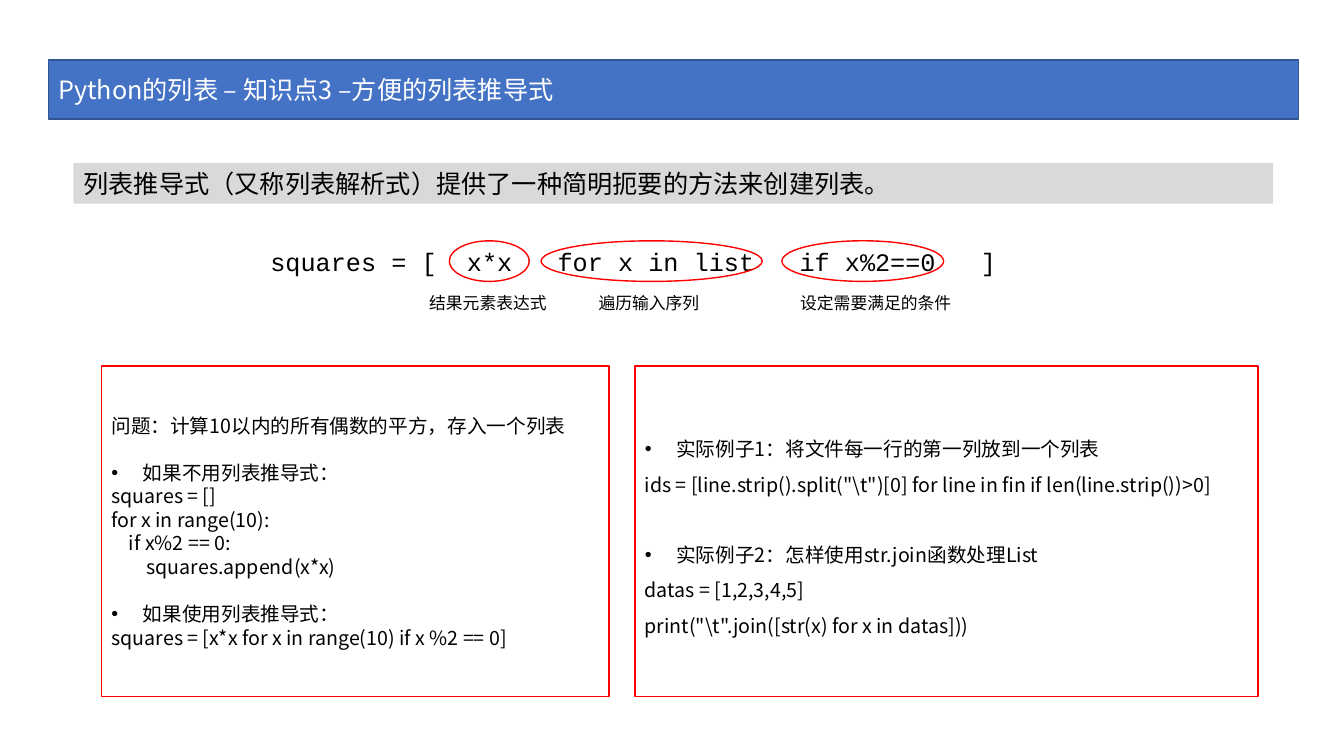
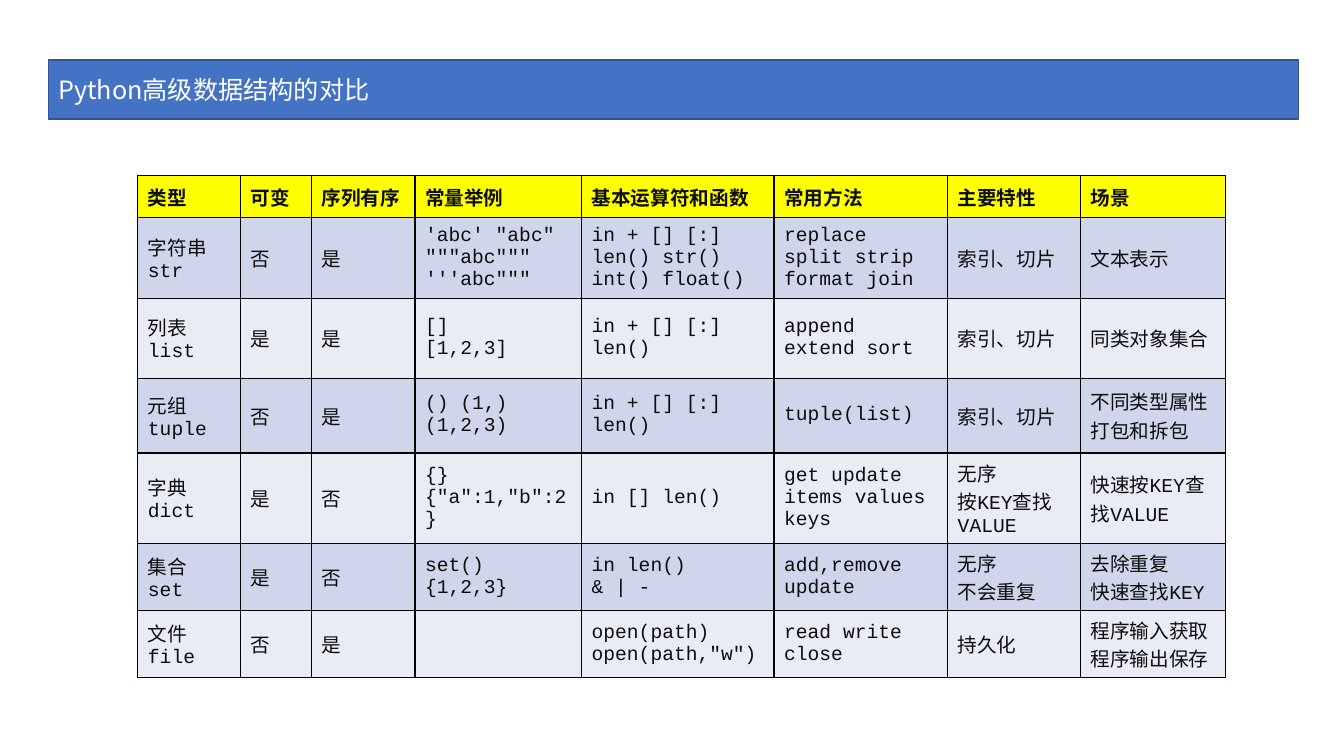
import dataclasses

import lxml.etree
import pptx
import pptx.dml.color
import pptx.enum.shapes
import pptx.enum.text
import pptx.oxml
import pptx.oxml.ns
import pptx.util

Pt = pptx.util.Pt
qn = pptx.oxml.ns.qn
Kind = pptx.enum.shapes.MSO_SHAPE
Anchor = pptx.enum.text.MSO_ANCHOR
Align = pptx.enum.text.PP_ALIGN


@dataclasses.dataclass(frozen=True)
class Theme:
    blue: str = "4472C4"
    navy: str = "325491"
    red: str = "FF0000"
    gray: str = "D9D9D9"
    white: str = "FFFFFF"
    black: str = "000000"
    ink: str = "0D0D0D"
    head: str = "FFFF00"
    bands: tuple = ("CFD5EA", "E9EBF5")
    sans: str = "Noto Sans CJK SC"
    mono: str = "Courier New"
    large: int = 18
    body: int = 14
    small: int = 12


theme = Theme()
rgb = pptx.dml.color.RGBColor.from_string


def write(frame, text, size, color=theme.black, font=theme.sans, bold=False):
    """Fill a text frame, one paragraph per line, in a single style."""
    frame.text = text
    frame.word_wrap = True
    frame.vertical_anchor = Anchor.MIDDLE
    for para in frame.paragraphs:
        para.alignment = Align.LEFT
        for run in para.runs:
            run.font.size = Pt(size)
            run.font.name = font
            run.font.bold = bold
            run.font.color.rgb = rgb(color)
            east = lxml.etree.SubElement(run.font._element, qn("a:ea"))
            east.set("typeface", theme.sans)


def draw(slide, kind, spot, fill=None, line=None):
    """Add a flat shape at (left, top, width, height) in points."""
    shape = slide.shapes.add_shape(kind, *map(Pt, spot))
    shape.shadow.inherit = False
    if fill:
        shape.fill.solid()
        shape.fill.fore_color.rgb = rgb(fill)
    else:
        shape.fill.background()
    if line:
        shape.line.color.rgb = rgb(line)
        shape.line.width = Pt(1)
    else:
        shape.line.fill.background()
    return shape


deck = pptx.Presentation()
deck.slide_width, deck.slide_height = Pt(960), Pt(540)

# Title bands
slides = []
for title in ("Python的列表 – 知识点3 –方便的列表推导式", "Python高级数据结构的对比"):
    slide = deck.slides.add_slide(deck.slide_layouts[6])
    band = draw(slide, Kind.RECTANGLE, (34.5, 43, 893, 42), theme.blue, theme.navy)
    write(band.text_frame, title, theme.large, theme.white)
    slides.append(slide)
first, second = slides

# Summary and annotated expression
lead = draw(first, Kind.RECTANGLE, (52.5, 116.5, 857, 29), theme.gray)
lead.text_frame.margin_top = lead.text_frame.margin_bottom = 0
write(lead.text_frame, "列表推导式（又称列表解析式）提供了一种简明扼要的方法来创建列表。", theme.large)

code = first.shapes.add_textbox(*map(Pt, (186, 172, 536, 29))).text_frame
write(code, "squares = [\tx*x\tfor x in list\tif x%2==0\t]", theme.large, font=theme.mono)
stops = lxml.etree.SubElement(code.paragraphs[0]._p.get_or_add_pPr(), qn("a:tabLst"))
for column in (13, 19, 35, 47):
    # A monospaced letter is 0.6 em wide
    stop = Pt(column * 0.6 * theme.large)
    lxml.etree.SubElement(stops, qn("a:tab"), pos=str(stop), algn="l")

marks = [
    (321, 57, "结果元素表达式", 299.5, 100),
    (386.5, 158, "遍历输入序列", 420.5, 88),
    (558.5, 115.5, "设定需要满足的条件", 564.5, 124),
]
for left, width, label, start, span in marks:
    draw(first, Kind.OVAL, (left, 172, width, 29), line=theme.red)
    note = first.shapes.add_textbox(*map(Pt, (start, 205.5, span, 21.5)))
    write(note.text_frame, label, theme.small)

# Example panels: (text, bullet, gap before in lines, code depth)
plain = [
    ("问题：计算10以内的所有偶数的平方，存入一个列表", False, 0, 0),
    ("如果不用列表推导式：", True, 1, 0),
    ("squares = []", False, 0, 0),
    ("for x in range(10):", False, 0, 0),
    ("if x%2 == 0:", False, 0, 1),
    ("squares.append(x*x)", False, 0, 2),
    ("如果使用列表推导式：", True, 1, 0),
    ("squares = [x*x for x in range(10) if x %2 == 0]", False, 0, 0),
]
cases = [
    ("实际例子1：将文件每一行的第一列放到一个列表", True, 0, 0),
    (r'ids = [line.strip().split("\t")[0] for line in fin if len(line.strip())>0]', False, 0, 0),
    ("实际例子2：怎样使用str.join函数处理List", True, 1, 0),
    ("datas = [1,2,3,4,5]", False, 0, 0),
    (r'print("\t".join([str(x) for x in datas]))', False, 0, 0),
]
for left, width, pitch, lines in ((72.5, 362.5, 16.8, plain), (453.5, 445, 25.2, cases)):
    panel = draw(first, Kind.RECTANGLE, (left, 261.5, width, 236), theme.white, theme.red)
    frame = panel.text_frame
    write(frame, "\n".join(line[0] for line in lines), theme.body)
    for para, (text, bullet, gap, depth) in zip(frame.paragraphs, lines):
        para.line_spacing = Pt(pitch)
        para.space_before = Pt(gap * pitch)
        props = para._p.get_or_add_pPr()
        props.set("marL", str(Pt(22.5 if bullet else depth * 12.5)))
        if bullet:
            props.set("indent", str(Pt(-22.5)))
            lxml.etree.SubElement(props, qn("a:buFont"), typeface="Arial")
            lxml.etree.SubElement(props, qn("a:buChar"), char="•")

# Comparison table
rows = [
    ("类型", "可变", "序列有序", "常量举例", "基本运算符和函数", "常用方法", "主要特性", "场景"),
    ("字符串str", "否", "是", "'abc' \"abc\"\n\"\"\"abc\"\"\"\n'''abc\"\"\"",
     "in + [] [:]\nlen() str()\nint() float()", "replace\nsplit strip\nformat join",
     "索引、切片", "文本表示"),
    ("列表\nlist", "是", "是", "[]\n[1,2,3]", "in + [] [:]\nlen()",
     "append\nextend sort", "索引、切片", "同类对象集合"),
    ("元组\ntuple", "否", "是", "() (1,)\n(1,2,3)", "in + [] [:]\nlen()",
     "tuple(list)", "索引、切片", "不同类型属性打包和拆包"),
    ("字典\ndict", "是", "否", '{}\n{"a":1,"b":2}', "in [] len()",
     "get update\nitems values\nkeys", "无序\n按KEY查找VALUE", "快速按KEY查找VALUE"),
    ("集合\nset", "是", "否", "set()\n{1,2,3}", "in len()\n& | -",
     "add,remove\nupdate", "无序\n不会重复", "去除重复\n快速查找KEY"),
    ("文件\nfile", "否", "是", "", 'open(path)\nopen(path,"w")',
     "read write\nclose", "持久化", "程序输入获取\n程序输出保存"),
]
widths = (73.5, 50.5, 74, 119, 137.5, 124, 95, 103.5)
heights = (30, 57, 57, 53.5, 64.5, 48, 48)
place = map(Pt, (98.5, 125.5, sum(widths), sum(heights)))
table = second.shapes.add_table(len(rows), len(widths), *place).table
for column, width in zip(table.columns, widths):
    column.width = Pt(width)
for r, (row, height) in enumerate(zip(rows, heights)):
    table.rows[r].height = Pt(height)
    for c, text in enumerate(row):
        cell = table.cell(r, c)
        write(cell.text_frame, text, theme.body, theme.ink, theme.mono, r == 0)
        cell.vertical_anchor = Anchor.MIDDLE
        cell.fill.solid()
        cell.fill.fore_color.rgb = rgb(theme.bands[(r - 1) % 2] if r else theme.head)
        props = cell._tc.get_or_add_tcPr()
        for place, side in enumerate("LRTB"):
            edge = lxml.etree.Element(qn("a:ln" + side), w=str(Pt(1)))
            paint = lxml.etree.SubElement(edge, qn("a:solidFill"))
            lxml.etree.SubElement(paint, qn("a:srgbClr"), val=theme.black)
            props.insert(place, edge)

deck.save("out.pptx")
